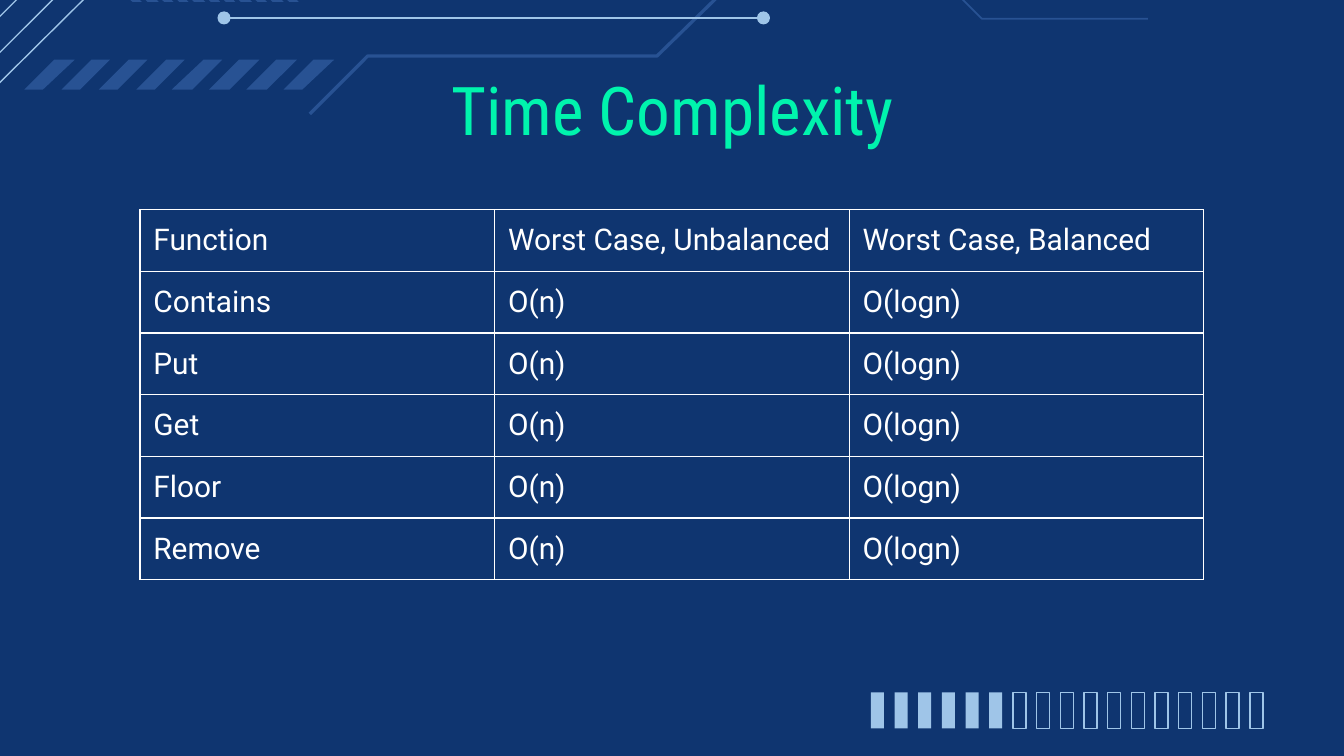
from pptx import Presentation
from pptx.dml.color import RGBColor as RGB
from pptx.enum.shapes import MSO_CONNECTOR as CONN, MSO_SHAPE as SHAPE
from pptx.enum.text import MSO_ANCHOR as ANCHOR, MSO_AUTO_SIZE as FIT, PP_ALIGN as ALIGN
from pptx.oxml.ns import qn
from pptx.util import Pt
from lxml.etree import SubElement

TITLE = "Time Complexity"
HEADER = ("Function", "Worst Case, Unbalanced", "Worst Case, Balanced")
FUNCTIONS = ("Contains", "Put", "Get", "Floor", "Remove")
ROWS = [HEADER] + [(name, "O(n)", "O(logn)") for name in FUNCTIONS]

THEME = {
    "back": RGB.from_string("0F3570"),
    "light": RGB.from_string("9FC5E8"),
    "muted": RGB.from_string("285293"),
    "title": {"name": "Roboto Condensed", "size": Pt(36), "bold": False,
              "color": RGB.from_string("00F4AD")},
    "cell": {"name": "Roboto", "size": Pt(16), "bold": False,
             "color": RGB.from_string("FFFFFF")},
}

TRACES = [
    ("light", 0.75, [(-13.5, 58), (91.5, -47), (186.5, -47), (226, -7.5),
                     (323.5, -7.5), (381, -65), (435, -65)]),
    ("muted", 1.75, [(166, 61), (197, 30), (352.5, 30), (393, -10.5), (465.5, -10.5)]),
    ("muted", 1, [(615, 9.5), (526, 9.5), (488.5, -27.5), (421, -27.5)]),
]
AXIS = (120, 409, 9.6)
DOT = 7
DIAGONALS = [(-31, 59, 75.3, -47.3), (-44.3, 53, 62.3, -53.6)]
PATTERNS = [
    {"count": 8, "left": 13, "top": 31.8, "pitch": 19.85,
     "outline": [(10.4, 16.4), (26.6, 0), (16.2, 0), (0, 16.4)]},
    {"count": 11, "left": 62.5, "top": -13.8, "pitch": 8.37,
     "outline": [(13.7, 14.7), (5.8, 7.2), (13.1, 0), (8, 0), (0, 7.2), (8.4, 14.7)]},
]
METER = {"count": 17, "full": 6, "left": 466.5, "top": 370.9, "pitch": 12.69,
         "width": 7, "height": 19.4}


def set_font(font, style):
    for key, value in style.items():
        if key == "color":
            font.color.rgb = value
        else:
            setattr(font, key, value)


def paint(sp, fill=None, line=None, width=0.75):
    sp.shadow.inherit = False
    if fill:
        sp.fill.solid()
        sp.fill.fore_color.rgb = THEME[fill]
    else:
        sp.fill.background()
    if line:
        sp.line.color.rgb = THEME[line]
        sp.line.width = Pt(width)
    else:
        sp.line.fill.background()


def add_path(s, points, closed, **look):
    builder = s.shapes.build_freeform(*points[0], scale=Pt(1))
    builder.add_line_segments(points[1:], close=closed)
    paint(builder.convert_to_shape(), **look)


def add_line(s, x1, y1, x2, y2, width):
    line = s.shapes.add_connector(CONN.STRAIGHT, Pt(x1), Pt(y1), Pt(x2), Pt(y2))
    line.line.color.rgb = THEME["light"]
    line.line.width = Pt(width)
    SubElement(line._element.spPr, qn("a:effectLst"))


def add_circuit(s):
    for color, width, points in TRACES:
        add_path(s, points, False, line=color, width=width)
    start, end, y = AXIS
    add_line(s, start, y, end, y, 1)
    for x in (start, end):
        dot = s.shapes.add_shape(SHAPE.OVAL, Pt(x - DOT / 2), Pt(y - DOT / 2), Pt(DOT), Pt(DOT))
        paint(dot, fill="light")
    for ends in DIAGONALS:
        add_line(s, *ends, 0.75)
    for pattern in PATTERNS:
        for i in range(pattern["count"]):
            left = pattern["left"] + i * pattern["pitch"]
            points = [(left + x, pattern["top"] + y) for x, y in pattern["outline"]]
            add_path(s, points, True, fill="muted")


def add_meter(s):
    for i in range(METER["count"]):
        bar = s.shapes.add_shape(
            SHAPE.RECTANGLE, Pt(METER["left"] + i * METER["pitch"]), Pt(METER["top"]),
            Pt(METER["width"]), Pt(METER["height"]))
        paint(bar, **({"fill": "light"} if i < METER["full"] else {"line": "light"}))


def set_title(s):
    sp = s.shapes.title
    sp.left, sp.top, sp.width, sp.height = Pt(56.9), Pt(36.7), Pt(607), Pt(38.2)
    tf = sp.text_frame
    format_values = {"margin_left": 0, "margin_top": 0, "margin_right": 0, "margin_bottom": 0,
                     "word_wrap": True, "auto_size": FIT.NONE, "vertical_anchor": ANCHOR.TOP}
    for key, value in format_values.items():
        setattr(tf, key, value)
    p = tf.paragraphs[0]
    p.alignment = ALIGN.CENTER
    r = p.add_run()
    r.text = TITLE
    set_font(r.font, THEME["title"])


def add_borders(cell):
    tcPr = cell._tc.get_or_add_tcPr()
    for i, side in enumerate(("lnL", "lnR", "lnT", "lnB")):
        ln = tcPr.makeelement(qn(f"a:{side}"), {"w": str(Pt(0.75))})
        fill = SubElement(ln, qn("a:solidFill"))
        SubElement(fill, qn("a:srgbClr"), val=str(THEME["cell"]["color"]))
        tcPr.insert(i, ln)


def add_complexity_table(s):
    column, row, margin = 190, 30.2, 7.2
    table = s.shapes.add_table(len(ROWS), len(HEADER), Pt(75), Pt(112.4),
                               Pt(column * len(HEADER)), Pt(row * len(ROWS))).table
    table.first_row = table.horz_banding = False
    for r, texts in enumerate(ROWS):
        for c, text in enumerate(texts):
            cell = table.cell(r, c)
            cell.fill.background()
            for side in ("left", "top", "right", "bottom"):
                setattr(cell, f"margin_{side}", Pt(margin))
            run = cell.text_frame.paragraphs[0].add_run()
            run.text = text
            set_font(run.font, THEME["cell"])
            add_borders(cell)


def main():
    prs = Presentation()
    prs.slide_width, prs.slide_height = Pt(720), Pt(405)
    s = prs.slides.add_slide(prs.slide_layouts[5])
    s.background.fill.solid()
    s.background.fill.fore_color.rgb = THEME["back"]
    add_circuit(s)
    add_meter(s)
    set_title(s)
    add_complexity_table(s)
    prs.save("out.pptx")


if __name__ == "__main__":
    main()
